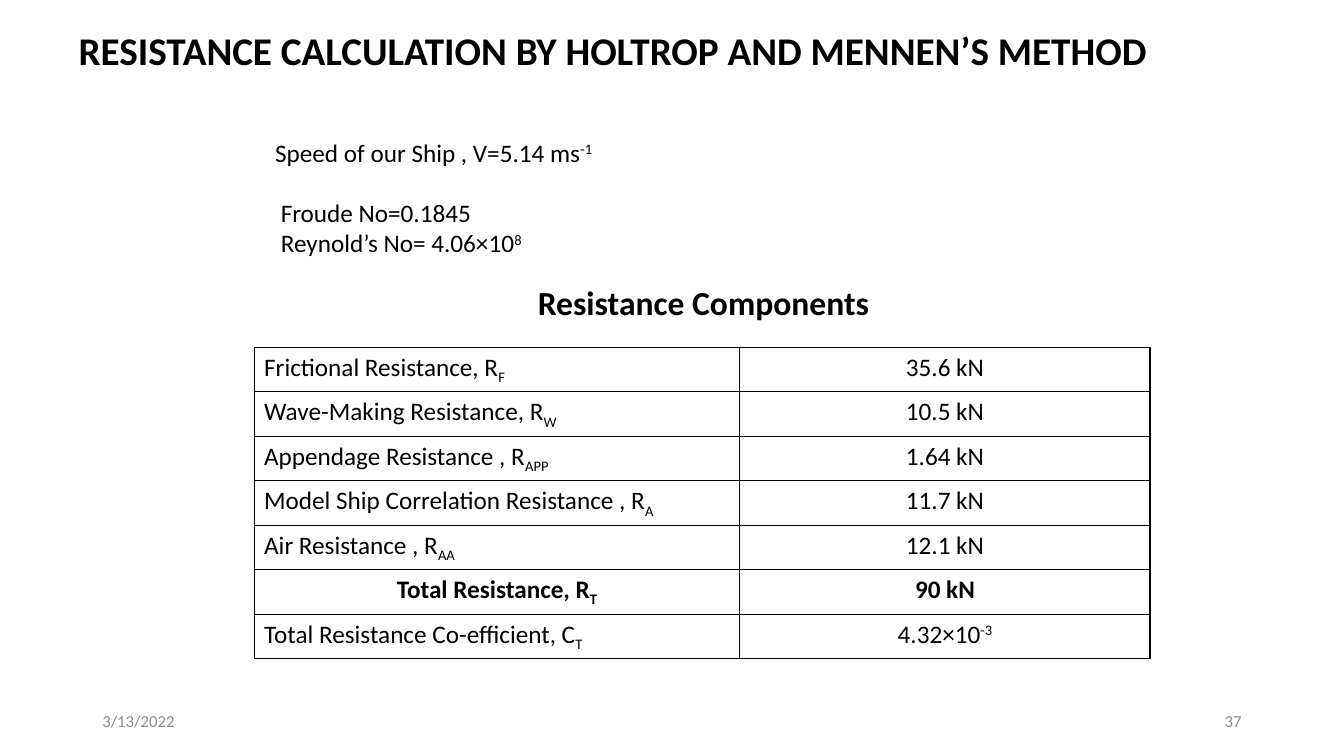
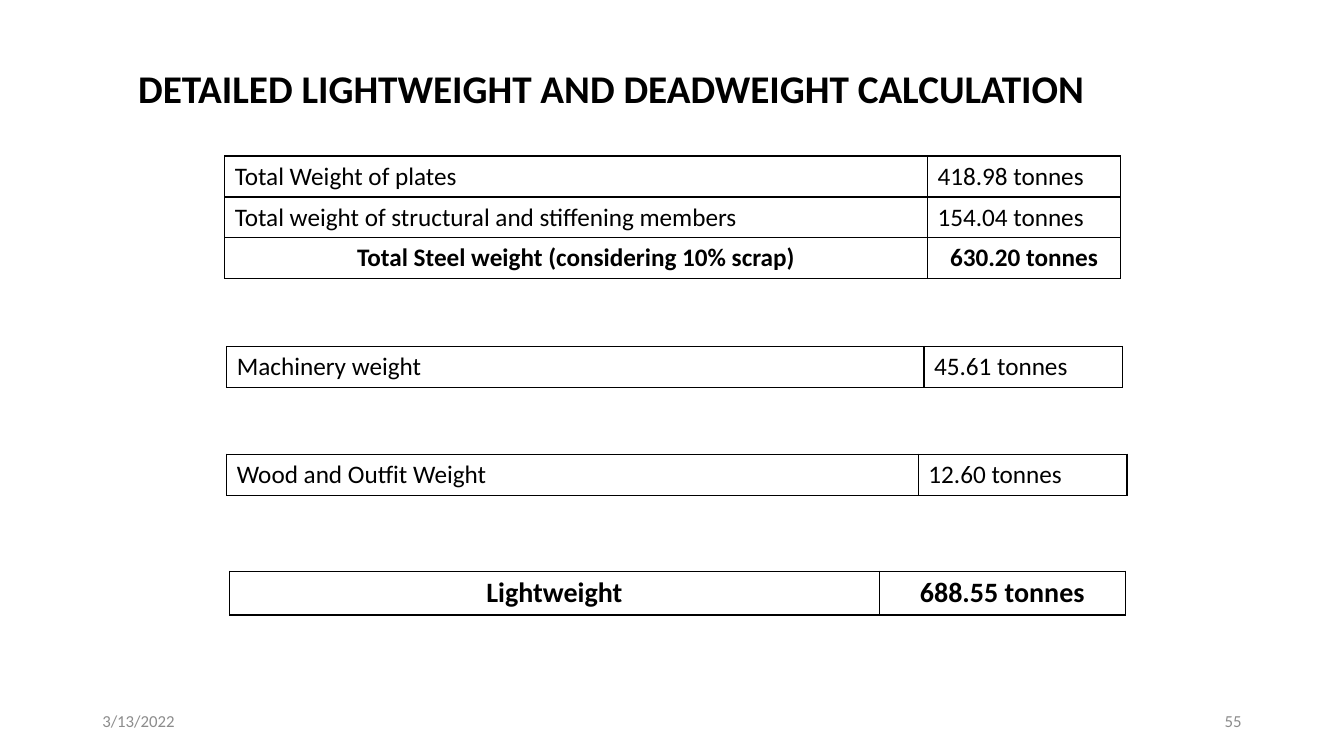
from pptx import Presentation
from pptx.dml.color import RGBColor
from pptx.enum.text import MSO_ANCHOR as ANCHOR, MSO_AUTO_SIZE, PP_ALIGN as ALIGN
from pptx.oxml import parse_xml
from pptx.oxml.ns import nsdecls
from pptx.util import Pt

FONT, BLACK, GREY = "Calibri", "000000", "8C8C8C"
DATE = "3/13/2022"
TITLE_ONLY = 5
BORDER = (
    '<a:{side} {ns} w="12700"><a:solidFill><a:srgbClr val="{color}"/>'
    "</a:solidFill></a:{side}>"
)


def write(p, text, size=18, bold=False, align=ALIGN.LEFT, color=BLACK):
    """Fill a paragraph; "_" starts a subscript ending, "^" a superscript one."""
    baseline = "-25000" if "_" in text else "30000"
    for i, part in enumerate(text.replace("_", "^").split("^")):
        r = p.add_run()
        r.text = part
        if i:
            r.font._element.set("baseline", baseline)
    p.alignment = align
    p.font.name, p.font.size, p.font.bold = FONT, Pt(size), bold
    p.font.color.rgb = RGBColor.from_string(color)


def add_grid(s, left, top, widths, row_height, rows, size=18, value_align=ALIGN.LEFT):
    """Add a bordered table; rows are (label, value, is_total)."""
    table = s.shapes.add_table(
        len(rows), 2, Pt(left), Pt(top), Pt(sum(widths)), Pt(row_height * len(rows))
    ).table
    table.first_row = table.horz_banding = False
    for column, width in zip(table.columns, widths):
        column.width = Pt(width)
    for i, (label, value, is_total) in enumerate(rows):
        table.rows[i].height = Pt(row_height)
        for j, (text, align) in enumerate([(label, ALIGN.LEFT), (value, value_align)]):
            cell = table.cell(i, j)
            cell.fill.background()
            tc_pr = cell._tc.get_or_add_tcPr()
            for k, side in enumerate(["lnL", "lnR", "lnT", "lnB"]):
                line = BORDER.format(side=side, ns=nsdecls("a"), color=BLACK)
                tc_pr.insert(k, parse_xml(line))
            write(cell.text_frame.paragraphs[0], text, size, is_total,
                  ALIGN.CENTER if is_total else align)


prs = Presentation()
prs.slide_width, prs.slide_height = Pt(960), Pt(540)

# Titles and footers
slides = []
for title, left, top, number in [
    ("RESISTANCE CALCULATION BY HOLTROP AND MENNEN’S METHOD", 49, 15, "37"),
    ("DETAILED LIGHTWEIGHT AND DEADWEIGHT CALCULATION", 91.5, 42.5, "55"),
]:
    s = prs.slides.add_slide(prs.slide_layouts[TITLE_ONLY])
    slides.append(s)
    sp = s.shapes.title
    sp.left, sp.top, sp.width, sp.height = Pt(left), Pt(top), Pt(800), Pt(41)
    tf = sp.text_frame
    tf.auto_size, tf.vertical_anchor = MSO_AUTO_SIZE.NONE, ANCHOR.TOP
    write(tf.paragraphs[0], title, 28, True)
    for text, x, align in [(DATE, 66, ALIGN.LEFT), (number, 678, ALIGN.RIGHT)]:
        tf = s.shapes.add_textbox(Pt(x), Pt(500.5), Pt(216), Pt(28.8)).text_frame
        tf.word_wrap, tf.vertical_anchor = True, ANCHOR.MIDDLE
        write(tf.paragraphs[0], text, 12, align=align, color=GREY)

resistance, weights = slides

# Resistance: ship data, heading and components
for lines, left, top, width, size, bold, align in [
    (["Speed of our Ship , V=5.14 ms^-1"], 189.5, 94.5, 260, 18, False, ALIGN.LEFT),
    (["Froude No=0.1845", "Reynold’s No= 4.06×10^8"],
     193.5, 137.5, 450, 18, False, ALIGN.LEFT),
    (["Resistance Components"], 291, 197.5, 423, 24, True, ALIGN.CENTER),
]:
    height = 7.2 + 1.2 * size * len(lines)
    tf = resistance.shapes.add_textbox(Pt(left), Pt(top), Pt(width), Pt(height)).text_frame
    tf.word_wrap = True
    for i, line in enumerate(lines):
        write(tf.add_paragraph() if i else tf.paragraphs[0], line, size, bold, align)

add_grid(resistance, 181.5, 248, [347, 293], 31.8, [
    ("Frictional Resistance, R_F", "35.6 kN", False),
    ("Wave-Making Resistance, R_W", "10.5 kN", False),
    ("Appendage Resistance , R_APP", "1.64 kN", False),
    ("Model Ship Correlation Resistance , R_A", "11.7 kN", False),
    ("Air Resistance , R_AA", "12.1 kN", False),
    ("Total Resistance, R_T", "90 kN", True),
    ("Total Resistance Co-efficient, C_T", "4.32×10^-3", False),
], value_align=ALIGN.CENTER)

# Weights: steel, machinery, outfit and their sum
for left, top, widths, row_height, size, rows in [
    (160.5, 111.5, [502, 138], 29.2, 18, [
        ("Total Weight of plates", "418.98 tonnes", False),
        ("Total weight of structural and stiffening members", "154.04 tonnes", False),
        ("Total Steel weight (considering 10% scrap)", "630.20 tonnes", True),
    ]),
    (162, 247.5, [498, 142], 29.2, 18, [("Machinery weight", "45.61 tonnes", False)]),
    (162, 324.5, [494, 149], 29.2, 18, [("Wood and Outfit Weight", "12.60 tonnes", False)]),
    (164, 408, [464, 176], 31, 20, [("Lightweight", "688.55 tonnes", True)]),
]:
    add_grid(weights, left, top, widths, row_height, rows, size)

prs.save("out.pptx")
